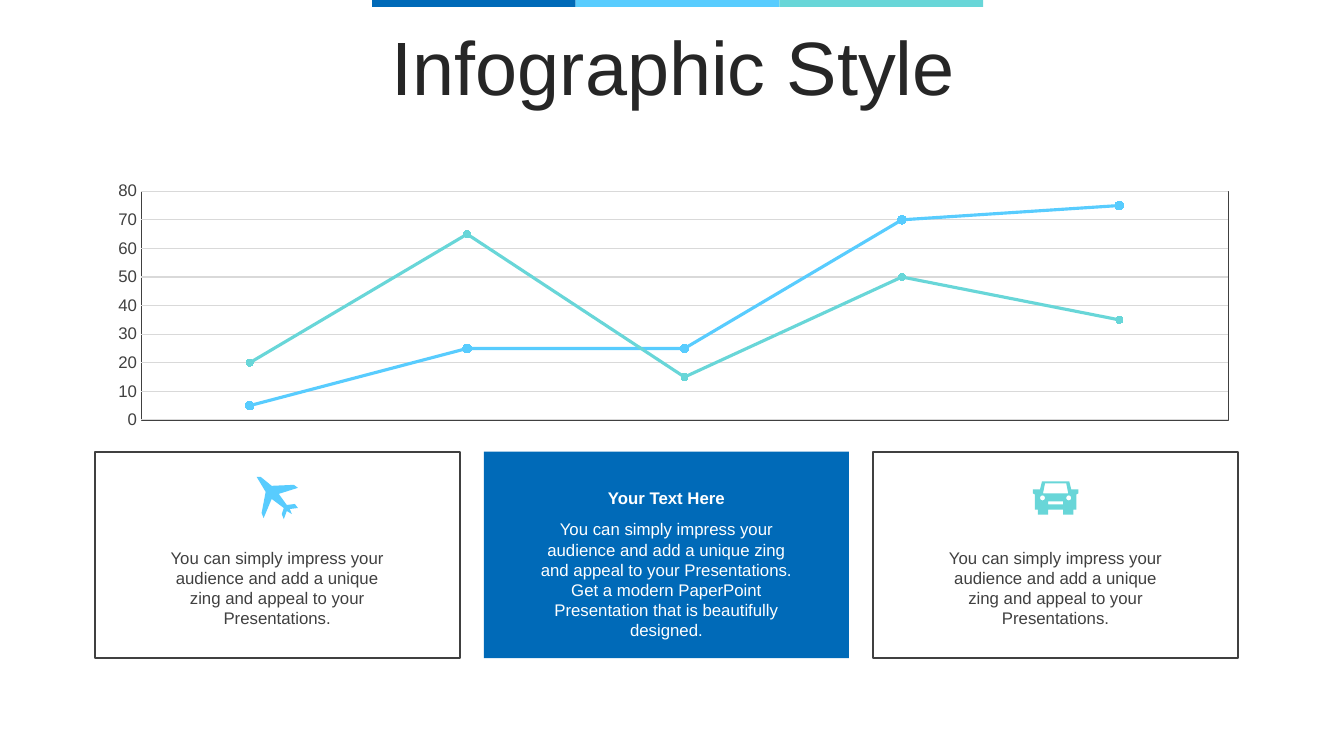
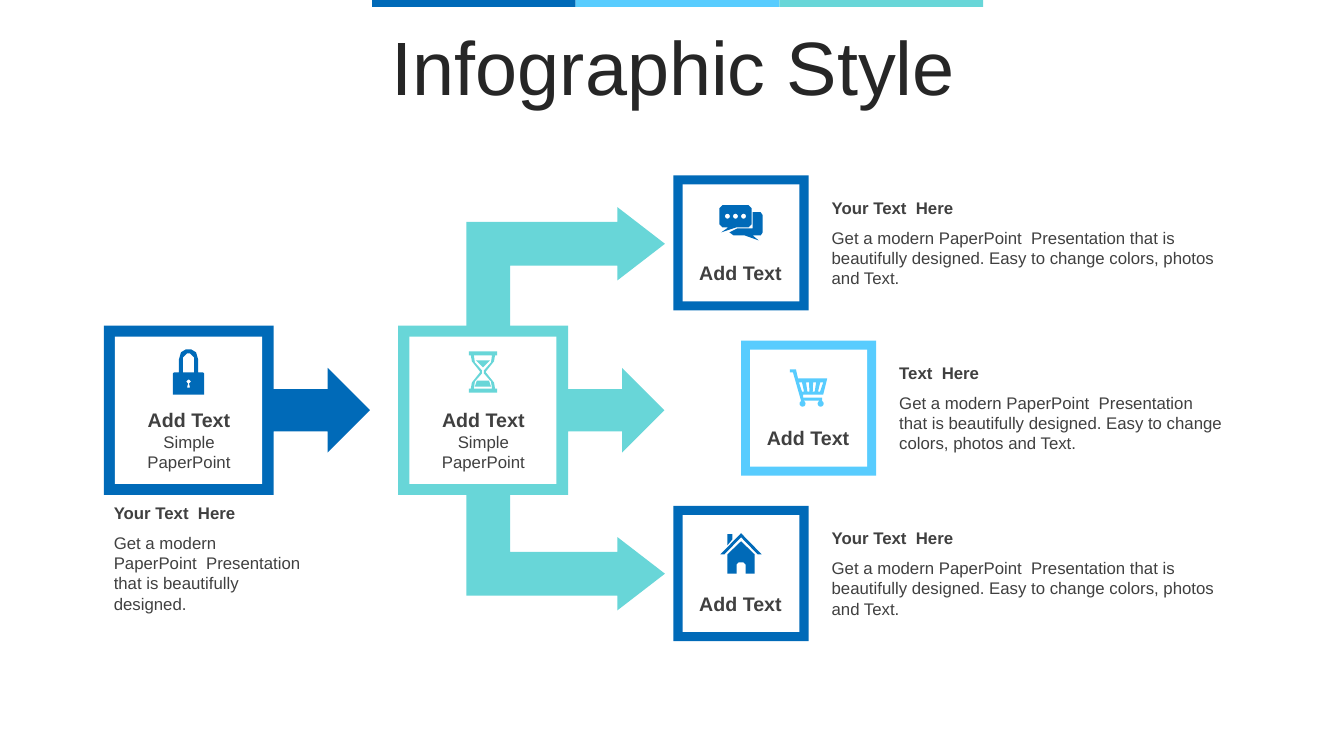
from math import cos, pi, sin

from lxml import etree
from pptx import Presentation
from pptx import util as u
from pptx.chart import data
from pptx.dml.color import RGBColor
from pptx.enum import chart as ch, shapes, text
from pptx.oxml import ns, parse_xml

BLUE = RGBColor.from_string("006AB8")
SKY = RGBColor.from_string("58CCFE")
TEAL = RGBColor.from_string("68D6D8")
WHITE = RGBColor.from_string("FFFFFF")
GREY = RGBColor.from_string("404040")
DARK = RGBColor.from_string("262626")
PALE = RGBColor.from_string("D9D9D9")
FONT = "Arial"
WIDE, HIGH = 13.33, 7.5
KIND = shapes.MSO_SHAPE
MID = text.PP_ALIGN.CENTER
LEFT = text.PP_ALIGN.LEFT

TITLE = "Infographic Style"
BANDS = BLUE, SKY, TEAL
SHORT = ("You can simply impress your audience and add a unique zing "
         "and appeal to your Presentations.")
DECK = "Get a modern PaperPoint  Presentation that is beautifully designed."
EASY = DECK + " Easy to change colors, photos and Text."
LONG = SHORT + " Get a modern PaperPoint Presentation that is beautifully designed."
HEAD = "Your Text  Here"

CATS = ["1", "2", "3", "4", "5"]
LINES = [
    ("Series 1", (5, 25, 25, 70, 75), SKY, 6),
    ("Series 2", (20, 65, 15, 50, 35), TEAL, 5),
]
CARDS = [
    (WHITE, GREY, GREY, 5.38, 2.4, [SHORT], "plane", SKY),
    (BLUE, None, WHITE, 4.79, 2.88, ["Your Text Here", LONG], None, None),
    (WHITE, GREY, GREY, 5.38, 2.4, [SHORT], "car", TEAL),
]
NODES = [(1.03, BLUE, "lock"), (3.95, TEAL, "glass")]
TILES = [
    (6.68, BLUE, HEAD, "chat"),
    (7.35, SKY, "Text  Here", "cart"),
    (6.68, BLUE, HEAD, "house"),
]


def dot(x, y, r=2.5):
    return [(x + r * cos(k * pi / 6), y + r * sin(k * pi / 6)) for k in range(12)]


def twin(wide, *half):
    return list(half) + [(wide - x, y) for x, y in reversed(half)]


def quad(wide, high, *part):
    return twin(wide, *part, *[(x, high - y) for x, y in reversed(part)])


def slot(k):
    top, low = 9 + 7 * k, 12 + 5.3 * k
    return [(top, 13), (low, 22), (low + 2, 22), (top + 3, 13)]


ICONS = {
    "plane": [[(41, 32), (33, 33), (35, 38), (30, 35), (27, 43), (25, 38),
               (27, 32), (15, 23), (7, 42), (5, 37), (9, 16), (0, 1), (4, 1),
               (15, 10), (37, 9), (41, 12), (22, 18), (30, 29), (38, 28)]],
    "car": [twin(45, (9, 0), (7, 8), (0, 8), (0, 12), (2, 13), (2, 28),
                 (5, 28), (5, 33), (15, 33), (15, 28)),
            twin(45, (12, 2), (10, 12)), twin(45, (15, 20), (15, 23)),
            dot(9.5, 16.5), dot(35.5, 16.5)],
    "chat": [quad(32, 22, (3, 0), (0, 3)), [(9, 22), (17, 22), (2, 27)],
             [(33, 7), (41, 7), (43, 10), (43, 27), (41, 30), (33, 30), (39, 35),
              (25, 30), (14, 30), (10, 27), (18, 23), (33, 23)],
             *[dot(x, 11) for x in (8, 16, 24)]],
    "glass": [quad(28, 41, (0, 0), (0, 4), (2, 4), (3, 10), (11, 20)),
              quad(28, 41, (5, 4), (6, 11), (13, 19)),
              twin(28, (7, 9), (14, 16)), twin(28, (8, 29), (6, 35))],
    "cart": [[(6, 0), (8, 9), (37, 9), (33, 25), (13, 25), (13, 28), (32, 28),
              (32, 31), (11, 31), (3, 3), (0, 3), (0, 0)],
             *map(slot, range(4)), dot(12.5, 34, 3), dot(30.5, 34, 3)],
    "house": [twin(41, (20.5, 8), (7, 21), (7, 40), (16, 40), (16, 31), (18, 29)),
              twin(41, (20.5, 0), (0, 21), (4, 21), (20.5, 4)),
              [(7, 1), (12, 1), (12, 6), (7, 12)]],
    "lock": [twin(31, (13, 0), (8, 3), (6, 10), (6, 23), (1, 23), (0, 24), (0, 45)),
             twin(31, (14, 4), (10, 8), (10, 23)),
             twin(31, (15, 30), (13, 32), (15, 34), (14, 38))],
}


def put(obj, vals):
    for key, val in vals.items():
        setattr(obj, key, val)


def inch(*nums):
    return [u.Inches(n) for n in nums]


def paint(part, fill, line=None):
    part.shadow.inherit = False
    part.fill.solid()
    part.fill.fore_color.rgb = fill
    if line is None:
        part.line.fill.background()
    else:
        part.line.color.rgb = line
        part.line.width = u.Pt(1.5)


def shape(page, kind, at, fill, line=None, adj=()):
    part = page.shapes.add_shape(kind, *inch(*at))
    paint(part, fill, line)
    for k, val in enumerate(adj):
        part.adjustments[k] = val
    return part


def box(page, x, y, side, fill):
    shape(page, KIND.RECTANGLE, (x, y, side, side), fill)


def icon(page, name, x, y, fill):
    pen = None
    for ring in ICONS[name]:
        pts = [(a * 100, b * 100) for a, b in ring]
        if pen is None:
            pen = page.shapes.build_freeform(*pts[0], scale=u.Inches(1) / 10000)
        else:
            pen.move_to(*pts[0])
        pen.add_line_segments(pts[1:], close=True)
    part = pen.convert_to_shape()
    part.left = u.Inches(x) - part.width // 2
    part.top = u.Inches(y) - part.height // 2
    paint(part, fill)


def write(page, x, y, w, h, rows, tone=GREY, align=LEFT, gap=7):
    area = page.shapes.add_textbox(*inch(x, y, w, h)).text_frame
    put(area, {"word_wrap": True, "auto_size": text.MSO_AUTO_SIZE.SHAPE_TO_FIT_TEXT})
    for k, (words, size, bold) in enumerate(rows):
        para = area.add_paragraph() if k else area.paragraphs[0]
        put(para, {"text": words, "alignment": align})
        if k:
            para.space_before = u.Pt(gap)
        put(para.font, {"size": u.Pt(size), "bold": bold, "name": FONT})
        para.font.color.rgb = tone


def note(page, x, y, w, h, head, body):
    write(page, x, y, w, h, [(head, 12, True), (body, 12, False)])


def start(deck):
    page = deck.slides.add_slide(deck.slide_layouts[5])
    head = page.shapes.title
    put(head, dict(zip(("left", "top", "width", "height"), inch(0.35, 0.31, 12.66, 0.79))))
    put(head.text_frame, {"text": TITLE, "word_wrap": True,
                          "auto_size": text.MSO_AUTO_SIZE.NONE,
                          "vertical_anchor": text.MSO_ANCHOR.MIDDLE})
    para = head.text_frame.paragraphs[0]
    put(para, {"alignment": MID, "line_spacing": 0.9})
    put(para.font, {"size": u.Pt(54), "name": FONT})
    para.font.color.rgb = DARK
    for k, tone in enumerate(BANDS):
        shape(page, KIND.RECTANGLE, (3.69 + k * 2.02, 0, 2.02, 0.07), tone)
    return page


def graph(page):
    info = data.CategoryChartData()
    info.categories = CATS
    for name, vals, tone, size in LINES:
        info.add_series(name, vals)
    plot = page.shapes.add_chart(ch.XL_CHART_TYPE.LINE_MARKERS,
                                 *inch(0.94, 1.77, 11.47, 2.55), info).chart
    put(plot, {"has_legend": False, "has_title": False})
    put(plot.font, {"size": u.Pt(10), "name": FONT})
    plot.plots[0].vary_by_categories = False
    plot.category_axis.visible = False
    axis = plot.value_axis
    put(axis, {"minimum_scale": 0, "maximum_scale": 80, "major_unit": 10,
               "major_tick_mark": ch.XL_TICK_MARK.NONE,
               "minor_tick_mark": ch.XL_TICK_MARK.NONE})
    axis.format.line.fill.background()
    grid = axis.major_gridlines.format.line
    grid.width = u.Pt(0.75)
    grid.color.rgb = PALE
    put(axis.tick_labels.font, {"size": u.Pt(12), "name": FONT})
    axis.tick_labels.font.color.rgb = GREY
    for row, (name, vals, tone, size) in zip(plot.plots[0].series, LINES):
        row.smooth = False
        row.format.line.width = u.Pt(2.25)
        row.format.line.color.rgb = tone
        put(row.marker, {"style": ch.XL_MARKER_STYLE.CIRCLE, "size": size})
        look = row.marker.format
        look.fill.solid()
        look.fill.fore_color.rgb = tone
        look.line.color.rgb = tone
    area = plot.element.find(".//" + ns.qn("c:plotArea"))
    for old in area.findall(ns.qn("c:layout")):
        area.remove(old)
    lay = etree.Element(ns.qn("c:layout"))
    man = etree.SubElement(lay, ns.qn("c:manualLayout"))
    for tag, val in (("layoutTarget", "inner"), ("xMode", "edge"), ("yMode", "edge"),
                     ("x", 0.04), ("y", 0.05), ("w", 0.94), ("h", 0.89)):
        etree.SubElement(man, ns.qn("c:" + tag)).set("val", str(val))
    area.insert(0, lay)
    area.append(parse_xml(
        f'<c:spPr {ns.nsdecls("c", "a")}><a:noFill/><a:ln w="9525"><a:solidFill>'
        f'<a:srgbClr val="{GREY}"/></a:solidFill></a:ln></c:spPr>'))


def trend(deck):
    page = start(deck)
    graph(page)
    wide, top = 3.62, 4.48
    for k, (fill, line, tone, y, w, rows, name, hue) in enumerate(CARDS):
        x = 0.94 + k * 3.86
        shape(page, KIND.RECTANGLE, (x, top, wide, 2.05), fill, line)
        rows = [(words, 12, words != rows[-1]) for words in rows]
        write(page, x + (wide - w) / 2, y, w, 0.91, rows, tone, MID, 8)
        if name:
            icon(page, name, x + wide / 2, top + 0.46, hue)


def flow(deck):
    page = start(deck)
    top, side = 3.23, 1.68
    for x, tone, name in NODES:
        shape(page, KIND.RIGHT_ARROW_CALLOUT, (x, top, 2.64, side), tone,
              adj=(0.25, 0.25, 0.25, 0.638))
        box(page, x + 0.11, top + 0.11, side - 0.22, WHITE)
        icon(page, name, x + side / 2, top + 0.46, tone)
        write(page, x + 0.26, 4, 1.17, 0.74,
              [("Add Text", 14, True), ("Simple PaperPoint", 12, False)], align=MID, gap=0)
    for y, turn in ((4.48, 90), (1.66, 270)):
        bend = shape(page, KIND.BENT_UP_ARROW, (5.02, y, 1.18, 1.97), TEAL,
                     adj=(0.368, 0.308, 0.4))
        bend.rotation = turn
        if turn > 180:
            bend.element.spPr.find(ns.qn("a:xfrm")).set("flipV", "1")
    side = 1.34
    for k, (x, tone, head, name) in enumerate(TILES):
        y = 1.74 + k * 1.64
        box(page, x, y, side, tone)
        box(page, x + 0.09, y + 0.09, side - 0.18, WHITE)
        icon(page, name, x + side / 2, y + 0.47, tone)
        write(page, x + 0.08, y + 0.8, 1.17, 0.34, [("Add Text", 14, True)], align=MID)
        note(page, x + 1.47, y + 0.17, 10.76 - x, 1, head, EASY)
    note(page, 1.03, 4.94, 2.08, 1.21, HEAD, DECK)


def main():
    deck = Presentation()
    put(deck, {"slide_width": u.Inches(WIDE), "slide_height": u.Inches(HIGH)})
    trend(deck)
    flow(deck)
    deck.save("out.pptx")


if __name__ == "__main__":
    main()
